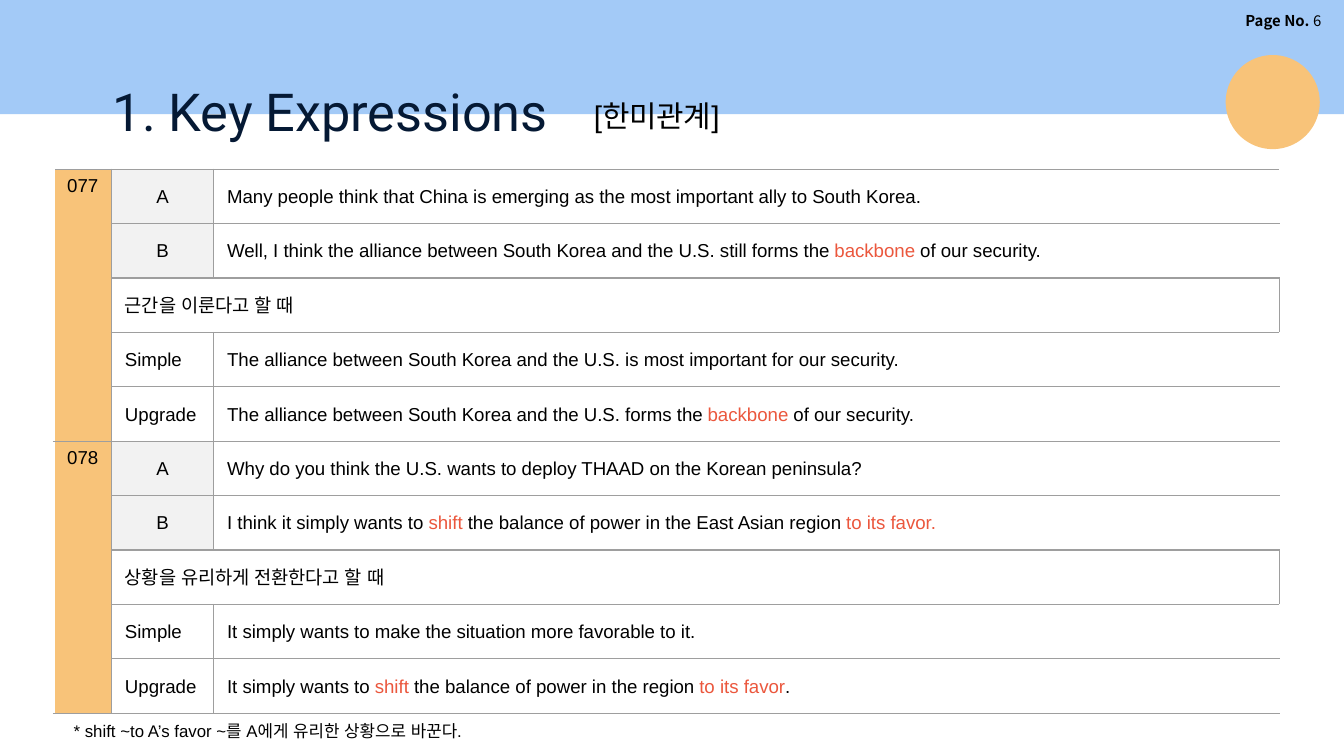
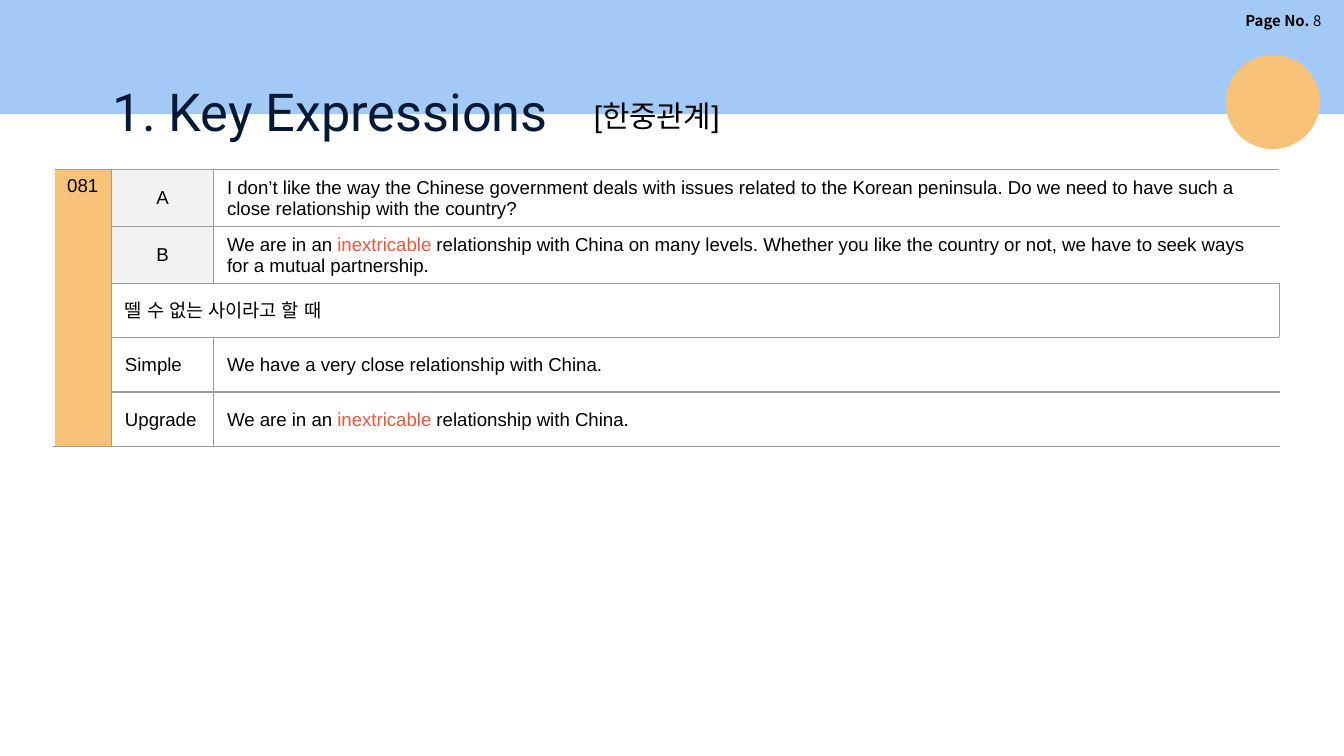
from dataclasses import dataclass

from lxml.etree import SubElement
from pptx import Presentation
from pptx.dml.color import RGBColor
from pptx.enum.shapes import MSO_SHAPE
from pptx.enum.text import MSO_ANCHOR, PP_ALIGN
from pptx.oxml.ns import qn
from pptx.util import Inches, Pt

BLUE = RGBColor(0xA3, 0xCA, 0xF7)
NAVY = RGBColor(0x05, 0x19, 0x34)
ORANGE = RGBColor(0xF8, 0xC3, 0x79)
RED = RGBColor(0xEB, 0x57, 0x3D)
GRAY = RGBColor(0x9E, 0x9E, 0x9E)
PALE = RGBColor(0xF2, 0xF2, 0xF2)
WHITE = RGBColor(0xFF, 0xFF, 0xFF)
BLACK = RGBColor(0, 0, 0)

COLUMNS = (Inches(0.43), Inches(0.76), Inches(7.93))
ROW_HEIGHT = Inches(4.05) // 10
ROWS_PER_ENTRY = 5


@dataclass
class Expression:
    """A numbered entry; text between bars is highlighted."""
    number: str
    a: str
    b: str
    usage: str
    simple: str
    upgrade: str


@dataclass
class Page:
    number: int
    topic: str
    expressions: list[Expression]
    note: str = ""


PAGES = [
    Page(6, "[한미관계]", [
        Expression(
            "077",
            "Many people think that China is emerging as the most important ally to South Korea.",
            "Well, I think the alliance between South Korea and the U.S. still forms the "
            "|backbone| of our security.",
            "근간을 이룬다고 할 때",
            "The alliance between South Korea and the U.S. is most important for our security.",
            "The alliance between South Korea and the U.S. forms the |backbone| of our security."),
        Expression(
            "078",
            "Why do you think the U.S. wants to deploy THAAD on the Korean peninsula?",
            "I think it simply wants to |shift |the balance of power in the East Asian region "
            "|to its favor.|",
            "상황을 유리하게 전환한다고 할 때",
            "It simply wants to make the situation more favorable to it.",
            "It simply wants to |shift| the balance of power in the region |to its favor|."),
    ], "* shift ~to A’s favor ~를 A에게 유리한 상황으로 바꾼다."),
    Page(8, "[한중관계]", [
        Expression(
            "081",
            "I don’t like the way the Chinese government deals with issues related to the Korean "
            "peninsula. Do we need to have such a close relationship with the country?",
            "We are in an |inextricable| relationship with China on many levels. Whether you like "
            "the country or not, we have to seek ways for a mutual partnership.",
            "뗄 수 없는 사이라고 할 때",
            "We have a very close relationship with China.",
            "We are in an |inextricable| relationship with China."),
    ]),
]


def set_font(p, size: float, color: RGBColor = BLACK, name: str = "Arial") -> None:
    """Set the paragraph font, for Korean letters as well."""
    p.font.size = Pt(size)
    p.font.color.rgb = color
    p.font.name = name
    SubElement(p._p.pPr.find(qn("a:defRPr")), qn("a:ea"), typeface=name)


def add_shape(slide, kind: MSO_SHAPE, box: tuple, color: RGBColor) -> None:
    sp = slide.shapes.add_shape(kind, *map(Inches, box))
    sp.shadow.inherit = False
    sp.fill.solid()
    sp.fill.fore_color.rgb = color
    sp.line.fill.background()


def add_text(slide, box: tuple, text: str, size: float, color: RGBColor = BLACK,
             name: str = "Arial", inset: float = 0.05):
    """Add a wrapped text box and return its paragraph."""
    tf = slide.shapes.add_textbox(*map(Inches, box)).text_frame
    tf.word_wrap = True
    tf.margin_top = tf.margin_bottom = Inches(inset)
    p = tf.paragraphs[0]
    p.add_run().text = text
    set_font(p, size, color, name)
    return p


def add_frame(slide, page: Page) -> None:
    """Draw the band, page number, title, topic and circle."""
    add_shape(slide, MSO_SHAPE.RECTANGLE, (0, 0, 10, 0.85), BLUE)
    p = add_text(slide, (8.48, 0.04, 1.45, 0.23), "Page No. ", 8, name="Noto Sans CJK KR")
    p.alignment = PP_ALIGN.RIGHT
    p.runs[0].font.bold = True
    p.add_run().text = str(page.number)
    add_text(slide, (0.74, 0.49, 3.58, 0.63), "1. Key Expressions", 28, NAVY, "Roboto", 0.1)
    add_text(slide, (4.32, 0.68, 2.44, 0.37), page.topic, 16)
    add_shape(slide, MSO_SHAPE.OVAL, (9.12, 0.41, 0.7, 0.7), ORANGE)


def set_borders(cell, column: int) -> None:
    """Rule a cell in gray, leaving the table's outer sides white."""
    tc_pr = cell._tc.get_or_add_tcPr()
    white_side = {0: "L", len(COLUMNS) - 1: "R"}.get(column)
    for side in "LRTB":
        color, width = (WHITE, 1) if side == white_side else (GRAY, 0.75)
        ln = SubElement(tc_pr, qn(f"a:ln{side}"), w=str(Pt(width)))
        SubElement(SubElement(ln, qn("a:solidFill")), qn("a:srgbClr"), val=str(color))


def write_cell(cell, text: str, fill: RGBColor | None = None,
               align: PP_ALIGN = PP_ALIGN.LEFT,
               anchor: MSO_ANCHOR = MSO_ANCHOR.MIDDLE) -> None:
    cell.vertical_anchor = anchor
    p = cell.text_frame.paragraphs[0]
    p.alignment = align
    for i, part in enumerate(text.split("|")):
        if part:
            r = p.add_run()
            r.text = part
            if i % 2:
                r.font.color.rgb = RED
    if fill is not None:
        cell.fill.solid()
        cell.fill.fore_color.rgb = fill


def fill_entry(table, top: int, entry: Expression) -> None:
    """Write one expression into its five rows."""
    number = table.cell(top, 0)
    number.merge(table.cell(top + ROWS_PER_ENTRY - 1, 0))
    number.margin_right = Inches(0.05)
    write_cell(number, entry.number, ORANGE, anchor=MSO_ANCHOR.TOP)
    for row, label, text in ((0, "A", entry.a), (1, "B", entry.b),
                             (3, "Simple", entry.simple), (4, "Upgrade", entry.upgrade)):
        speaker = label in "AB"
        write_cell(table.cell(top + row, 1), label, PALE if speaker else None,
                   PP_ALIGN.CENTER if speaker else PP_ALIGN.LEFT)
        write_cell(table.cell(top + row, 2), text)
    usage = table.cell(top + 2, 1)
    usage.merge(table.cell(top + 2, 2))
    write_cell(usage, entry.usage)


def add_expressions(slide, entries: list[Expression]) -> None:
    rows = len(entries) * ROWS_PER_ENTRY
    table = slide.shapes.add_table(rows, len(COLUMNS), Inches(0.4), Inches(1.26),
                                   sum(COLUMNS), ROW_HEIGHT * rows).table
    table.first_row = table.horz_banding = False
    for column, width in zip(table.columns, COLUMNS):
        column.width = width
    for row in range(rows):
        table.rows[row].height = ROW_HEIGHT
        for column in range(len(COLUMNS)):
            cell = table.cell(row, column)
            set_borders(cell, column)
            cell.fill.background()
            cell.margin_bottom = Inches(0.04)
            set_font(cell.text_frame.paragraphs[0], 10)
    for i, entry in enumerate(entries):
        fill_entry(table, i * ROWS_PER_ENTRY, entry)


def main() -> None:
    prs = Presentation()
    prs.slide_width = Inches(10)
    prs.slide_height = prs.slide_width * 9 // 16
    for page in PAGES:
        slide = prs.slides.add_slide(prs.slide_layouts[6])
        add_frame(slide, page)
        add_expressions(slide, page.expressions)
        if page.note:
            add_text(slide, (0.45, 5.31, 9.37, 0.25), page.note, 9)
    prs.save("out.pptx")


if __name__ == "__main__":
    main()
